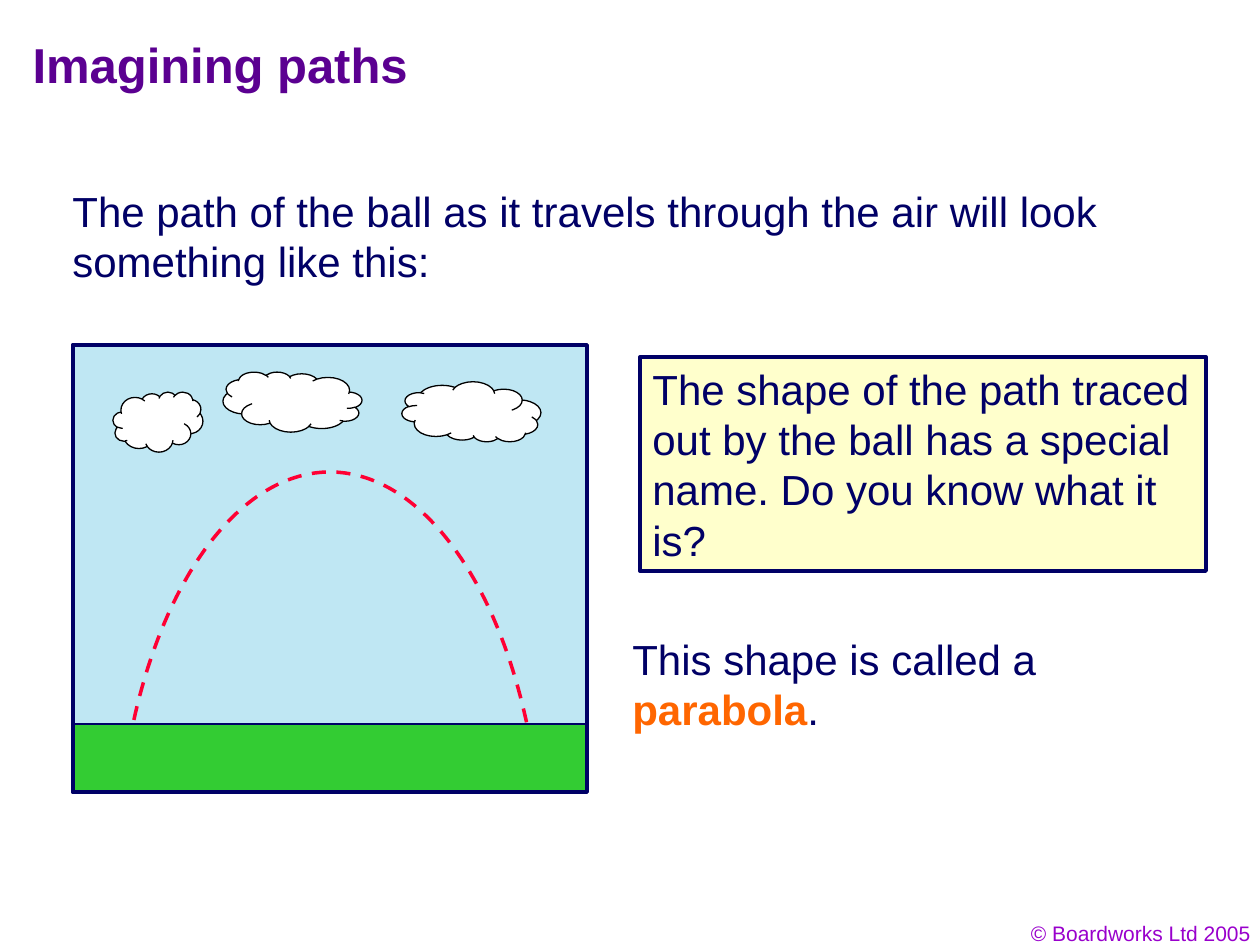
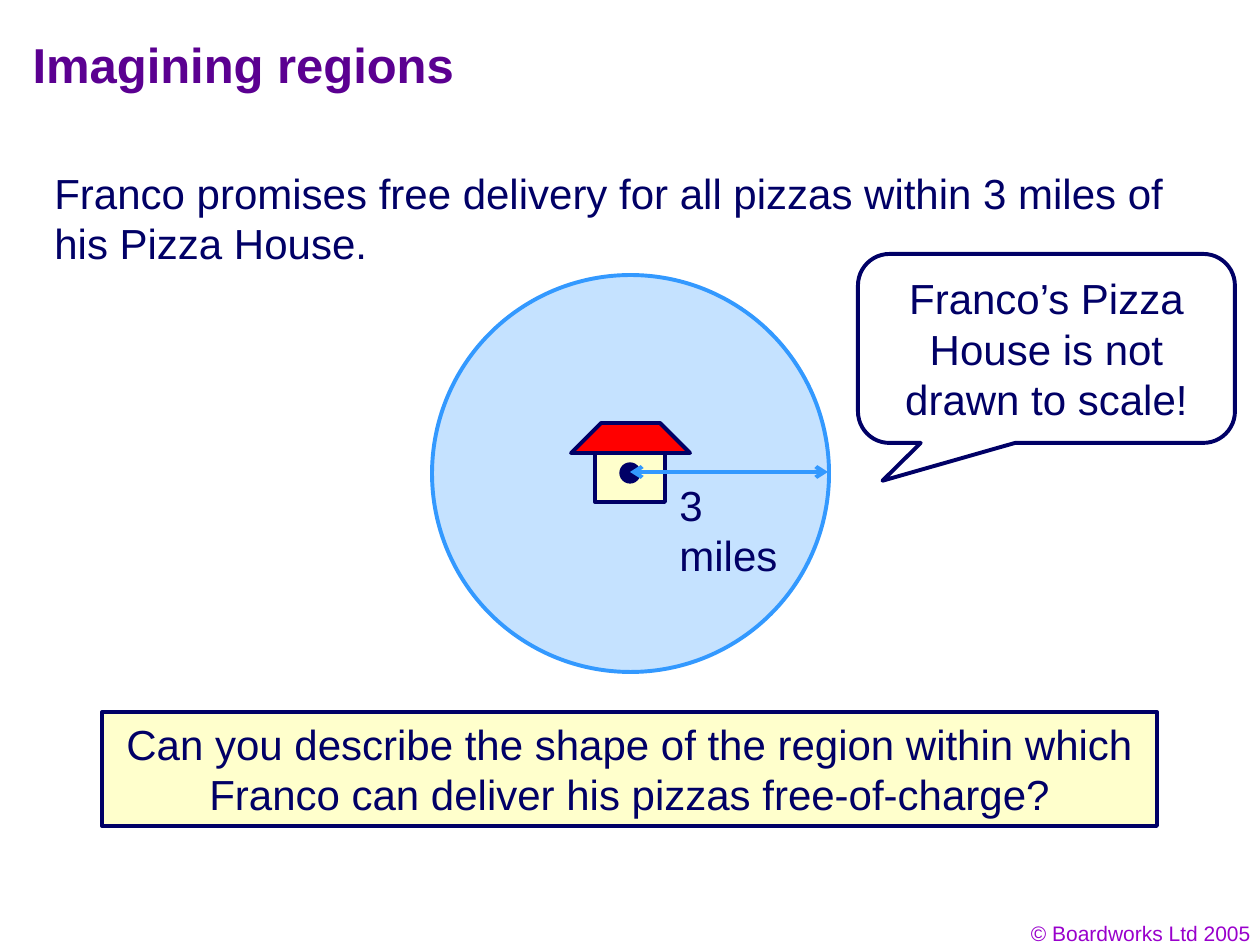
from math import cos, radians, sin

from lxml.etree import SubElement
from pptx import Presentation
from pptx.dml.color import RGBColor
from pptx.enum.dml import MSO_LINE
from pptx.enum.shapes import MSO_CONNECTOR, MSO_SHAPE
from pptx.enum.text import MSO_ANCHOR, PP_ALIGN
from pptx.oxml.ns import qn
from pptx.util import Emu, Pt

PX_PER_INCH = 126
WIDTH, HEIGHT = 1260, 945
FONT = "Arial"
NAVY, TEXT, PURPLE, FOOTER = "000066", "010066", "5B0091", "9900CC"
CREAM, WHITE, BLACK, ORANGE = "FFFFCC", "FFFFFF", "000000", "FF6600"
SKY, GRASS, PATH_RED, ROOF_RED = "BFE7F3", "33CC33", "FF0033", "FF0000"
REGION, REGION_LINE = "C5E2FF", "3399FF"


def px(value):
    return Emu(round(value * 914400 / PX_PER_INCH))


def rgb(color):
    return RGBColor.from_string(color)


class Deck:
    """Holds the style, the presentation and the current slide."""

    def __init__(self):
        self.prs = Presentation()
        self.prs.slide_width, self.prs.slide_height = px(WIDTH), px(HEIGHT)
        self.shapes = None

    def slide(self, title):
        """Start a slide with the shared title and footer."""
        self.shapes = self.prs.slides.add_slide(self.prs.slide_layouts[5]).shapes
        s = self.shapes.title
        s.left, s.top, s.width, s.height = map(px, (20, 20, 1013, 87))
        self.set_text(s, [(title, {"size": Pt(28), "bold": True, "color": PURPLE})],
                      anchor=MSO_ANCHOR.MIDDLE)
        self.text((969, 914, 294, 38),
                  [("© Boardworks Ltd 2005", {"size": Pt(12), "color": FOOTER})],
                  align=PP_ALIGN.RIGHT)

    def set_text(self, s, runs, align=PP_ALIGN.LEFT, anchor=MSO_ANCHOR.TOP, wrap=True):
        """Fill a shape with one paragraph of (text, format) runs."""
        tf = s.text_frame
        tf.word_wrap, tf.vertical_anchor = wrap, anchor
        p = tf.paragraphs[0]
        p.alignment = align
        for text, changes in runs:
            r = p.add_run()
            r.text = text
            style = {"name": FONT, "size": Pt(24), "bold": False, "color": TEXT} | changes
            r.font.color.rgb = rgb(style.pop("color"))
            for name, value in style.items():
                setattr(r.font, name, value)

    def text(self, box, runs, **layout):
        self.set_text(self.shapes.add_textbox(*map(px, box)), runs, **layout)

    def outline(self, s, color, weight):
        s.line.color.rgb = rgb(color)
        s.line.width = Pt(weight)

    def paint(self, s, fill, line, weight):
        s.shadow.inherit = False
        if fill:
            s.fill.solid()
            s.fill.fore_color.rgb = rgb(fill)
        else:
            s.fill.background()
        self.outline(s, line, weight)

    def shape(self, kind, box, fill, line=NAVY, weight=2.25, adjust=(), flip=None):
        s = self.shapes.add_shape(kind, *map(px, box))
        self.paint(s, fill, line, weight)
        for i, value in enumerate(adjust):
            s.adjustments[i] = value
        if flip:
            s._element.spPr.find(qn("a:xfrm")).set(flip, "1")
        return s

    def dashed_curve(self, points, color, weight):
        points = [(px(x), px(y)) for x, y in points]
        builder = self.shapes.build_freeform(*points[0])
        builder.add_line_segments(points[1:], close=False)
        s = builder.convert_to_shape()
        self.paint(s, None, color, weight)
        s.line.dash_style = MSO_LINE.DASH

    def double_arrow(self, start, end, color, weight=2.25):
        s = self.shapes.add_connector(MSO_CONNECTOR.STRAIGHT, *map(px, start + end))
        self.outline(s, color, weight)
        line = s.line._get_or_add_ln()
        for tag in ("a:headEnd", "a:tailEnd"):
            SubElement(line, qn(tag), type="arrow")
        SubElement(s._element.spPr, qn("a:effectLst"))


def paths_slide(deck):
    deck.slide("Imagining paths")
    scene = (73, 345, 514, 447)
    deck.shape(MSO_SHAPE.RECTANGLE, scene, SKY)

    # The ball follows the top part of a tall ellipse.
    center_x, center_y, radius_x, radius_y = 330, 879, 213, 407
    angles = [radians(a) for a in range(203, 339)]
    deck.dashed_curve([(center_x + radius_x * cos(a), center_y + radius_y * sin(a))
                       for a in angles], PATH_RED, 2)
    deck.shape(MSO_SHAPE.RECTANGLE, (73, 724, 514, 68), GRASS, weight=1)

    deck.text((60, 179, 1147, 113), [
        ("The path of the ball as it travels through the air will look something like this:", {})])
    question = deck.shape(MSO_SHAPE.RECTANGLE, (640, 357, 566, 214), CREAM)
    deck.set_text(question, [("The shape of the path traced out by the ball has a special name. "
                              "Do you know what it is?", {})])
    deck.text((620, 627, 627, 63), [
        ("This shape is called a ", {}),
        ("parabola", {"bold": True, "color": ORANGE}),
        (".", {})], wrap=False)

    for box, flip in (((113, 392, 90, 60), None),
                      ((402, 382, 139, 60), "flipV"),
                      ((223, 372, 139, 60), "flipH")):
        deck.shape(MSO_SHAPE.CLOUD, box, WHITE, BLACK, 0.75, flip=flip)
    deck.shape(MSO_SHAPE.RECTANGLE, scene, None)


def regions_slide(deck):
    deck.slide("Imagining regions")
    deck.shape(MSO_SHAPE.OVAL, (432, 275, 397, 397), REGION, REGION_LINE)
    deck.text((42, 161, 1173, 113), [
        ("Franco promises free delivery for all pizzas within 3 miles of his Pizza House.", {})])

    deck.shape(MSO_SHAPE.RECTANGLE, (595, 453, 70, 49), CREAM)
    deck.shape(MSO_SHAPE.TRAPEZOID, (571, 423, 119, 30), ROOF_RED, adjust=[1])
    deck.shape(MSO_SHAPE.OVAL, (620, 463, 20, 20), NAVY, weight=0.75)

    question = deck.shape(MSO_SHAPE.RECTANGLE, (102, 712, 1055, 114), CREAM)
    deck.set_text(question, [("Can you describe the shape of the region within which "
                              "Franco can deliver his pizzas free-of-charge?", {})],
                  align=PP_ALIGN.CENTER)
    deck.double_arrow((630, 472), (828, 472), REGION_LINE)
    deck.text((667, 473, 157, 63), [("3 miles", {})], wrap=False)

    note = deck.shape(MSO_SHAPE.ROUNDED_RECTANGULAR_CALLOUT, (858, 254, 377, 189), WHITE,
                      adjust=(-0.435, 0.7, 0.167))
    deck.set_text(note, [("Franco’s Pizza House is not drawn to scale!", {})],
                  align=PP_ALIGN.CENTER, anchor=MSO_ANCHOR.MIDDLE)


def main():
    deck = Deck()
    paths_slide(deck)
    regions_slide(deck)
    deck.prs.save("out.pptx")


if __name__ == "__main__":
    main()
